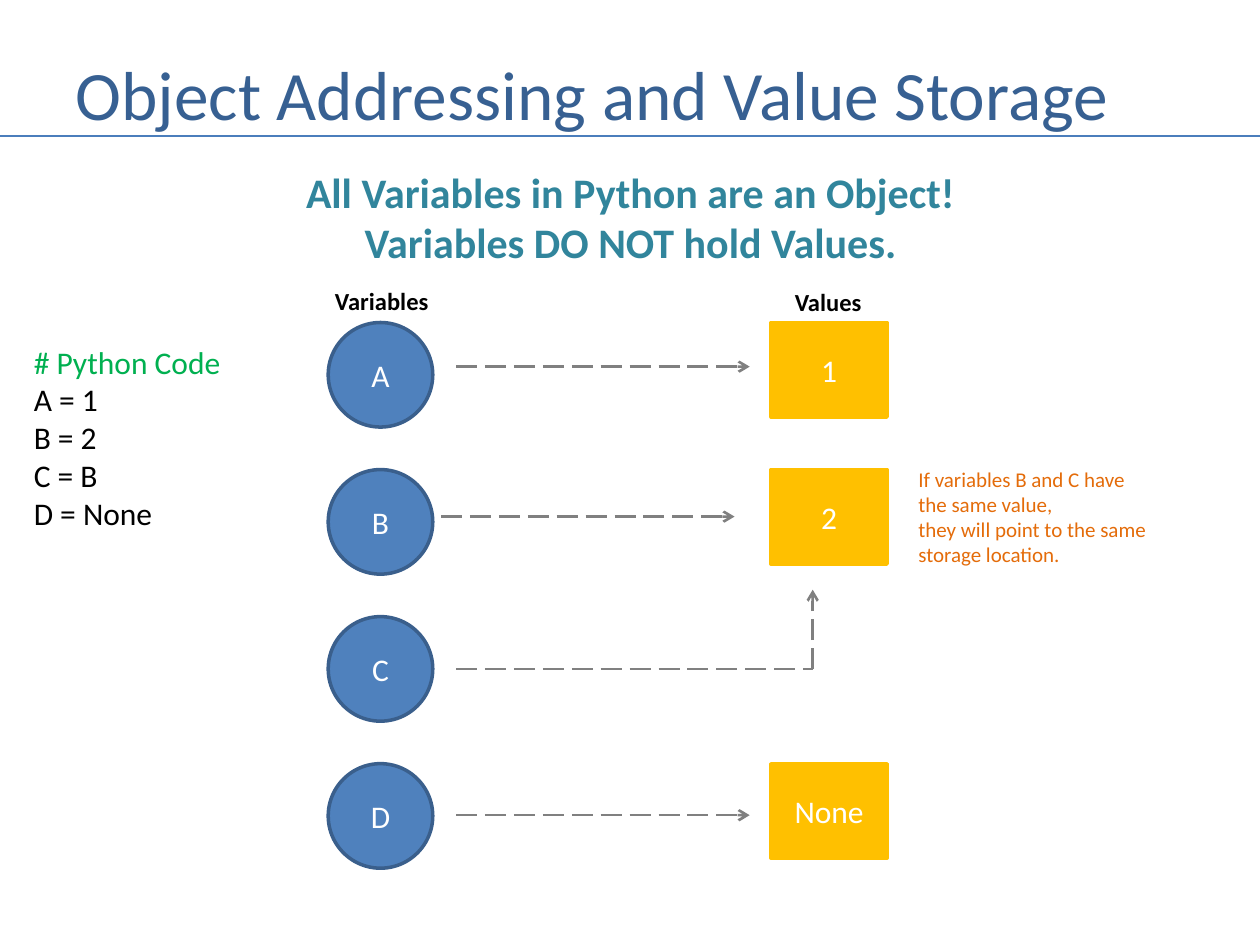
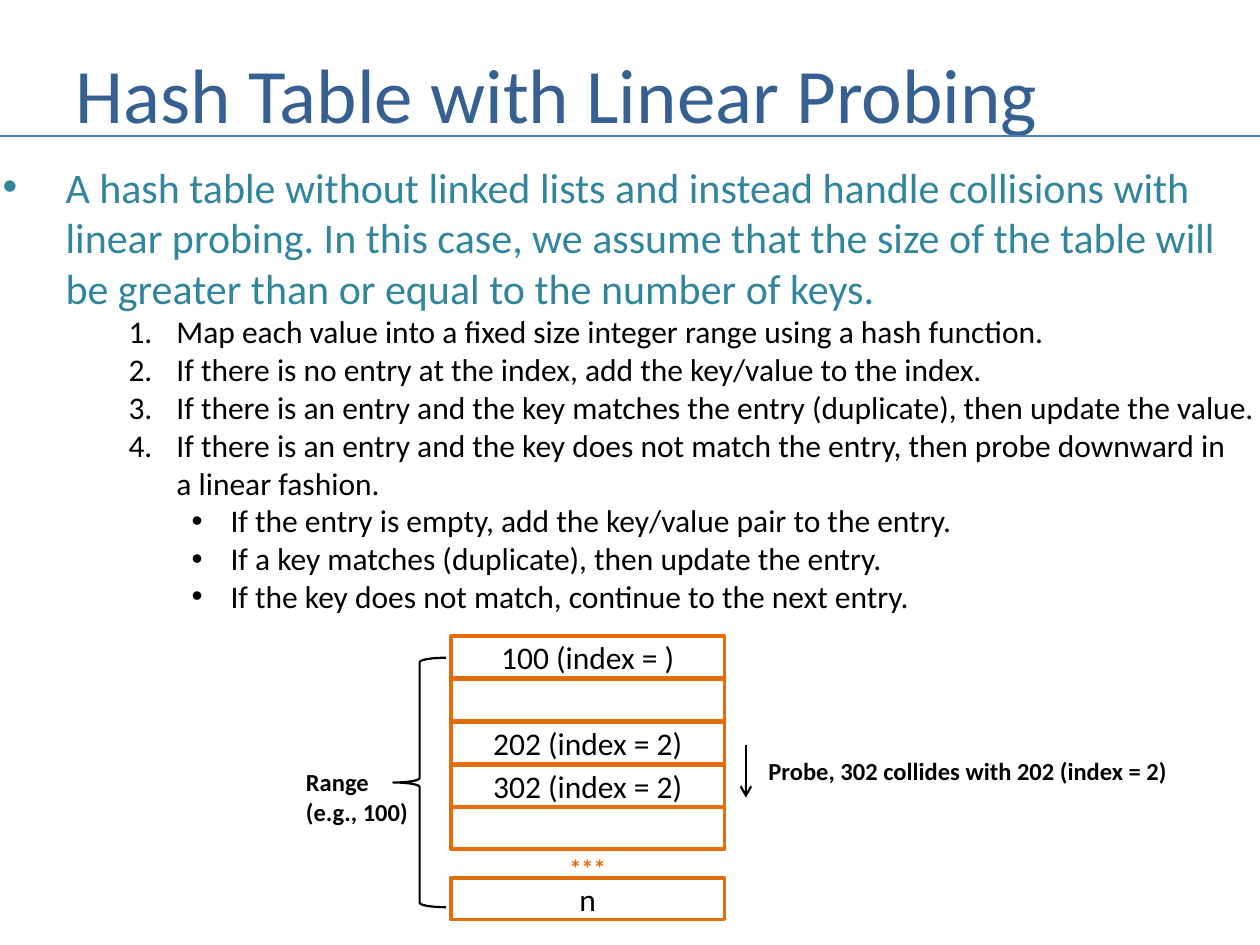
from dataclasses import dataclass

from lxml.etree import SubElement
from pptx import Presentation
from pptx.dml.color import RGBColor
from pptx.enum.dml import MSO_LINE
from pptx.enum.shapes import MSO_CONNECTOR, MSO_SHAPE
from pptx.enum.text import MSO_ANCHOR, MSO_AUTO_SIZE, PP_ALIGN
from pptx.oxml.ns import qn
from pptx.util import Inches, Pt

COLS, ROWS = 100, 75
CELL = Inches(0.1)


@dataclass(frozen=True)
class Theme:
    font: str = "Calibri"
    navy: str = "376092"
    rule: str = "4B7EBC"
    teal: str = "31859C"
    blue: str = "4F81BD"
    edge: str = "3A5F8C"
    gold: str = "FFC000"
    gray: str = "808080"
    rust: str = "E46C0A"
    green: str = "00B050"
    black: str = "000000"
    white: str = "FFFFFF"
    lead: float = 24
    text: float = 18
    label: float = 14
    note: float = 12
    thin: float = 1.25
    line: float = 1.5
    thick: float = 2


THEME = Theme()


def grid(*spots):
    return [round(spot * CELL) for spot in spots]


def color(code):
    return RGBColor.from_string(code)


def style(para, size, ink, bold=False, align=PP_ALIGN.LEFT):
    para.alignment = align
    para.space_before = Pt(0)
    font = para.font
    font.name = THEME.font
    font.size = Pt(size)
    font.bold = bold
    font.color.rgb = color(ink)


def fill_text(frame, lines, *look, **more):
    for index, line in enumerate(lines):
        para = frame.add_paragraph() if index else frame.paragraphs[0]
        para.text = line
        style(para, *look, **more)


def place(shape, spot):
    shape.left, shape.top, shape.width, shape.height = grid(*spot)


def add_text(slide, spot, lines, *look, wrap=False, **more):
    box = slide.shapes.add_textbox(*grid(*spot))
    frame = box.text_frame
    frame.word_wrap = wrap
    frame.auto_size = MSO_AUTO_SIZE.SHAPE_TO_FIT_TEXT
    fill_text(frame, lines, *look, **more)
    return box


def add_label(slide, spot, *lines, ink=THEME.black):
    add_text(slide, spot, lines, THEME.label, ink, True)


def add_form(slide, kind, spot, edge, fill=None, text="", ink=THEME.black,
             width=THEME.thick):
    form = slide.shapes.add_shape(kind, *grid(*spot))
    form.shadow.inherit = False
    if fill:
        form.fill.solid()
        form.fill.fore_color.rgb = color(fill)
    else:
        form.fill.background()
    form.line.color.rgb = color(edge)
    form.line.width = Pt(width)
    if text:
        fill_text(form.text_frame, [text], THEME.text, ink,
                  align=PP_ALIGN.CENTER)
    return form


def add_line(slide, start, end, ink, width=THEME.line, dash=False, head=False):
    link = slide.shapes.add_connector(
        MSO_CONNECTOR.STRAIGHT, *grid(*start, *end))
    link.line.color.rgb = color(ink)
    link.line.width = Pt(width)
    if dash:
        link.line.dash_style = MSO_LINE.LONG_DASH
    props = link.element.spPr
    if head:
        SubElement(props.find(qn("a:ln")), qn("a:tailEnd"), type="arrow")
    SubElement(props, qn("a:effectLst"))


def add_link(slide, start, end, head=True):
    add_line(slide, start, end, THEME.gray, dash=True, head=head)


def add_slide(deck, layout, title, size):
    slide = deck.slides.add_slide(deck.slide_layouts[layout])
    head = slide.shapes.title
    place(head, (5, 3, 90.8, 8.7))
    frame = head.text_frame
    frame.auto_size = MSO_AUTO_SIZE.NONE
    frame.vertical_anchor = MSO_ANCHOR.MIDDLE
    fill_text(frame, [title], size, THEME.navy)
    add_line(slide, (0, 10.8), (COLS, 10.8), THEME.rule)
    return slide


def add_item(para, text, level, inset, hang, mark, size, ink):
    para.text = text
    para.level = level
    props = para._p.get_or_add_pPr()
    props.set("marL", str(Inches(inset)))
    props.set("indent", str(-Inches(hang)))
    if mark == "1.":
        SubElement(props, qn("a:buFont"), typeface="+mj-lt")
        SubElement(props, qn("a:buAutoNum"), type="arabicPeriod")
    else:
        SubElement(props, qn("a:buFont"), typeface="Arial")
        SubElement(props, qn("a:buChar"), char=mark)
    style(para, size, ink)


def add_list(slide, spot, groups):
    body = slide.placeholders[1]
    place(body, spot)
    frame = body.text_frame
    frame.word_wrap = True
    frame.auto_size = MSO_AUTO_SIZE.NONE
    para = frame.paragraphs[0]
    for lines, *look in groups:
        for line in lines:
            if para.text:
                para = frame.add_paragraph()
            add_item(para, line, *look)


def draw_store(deck):
    slide = add_slide(deck, 5, "Object Addressing and Value Storage", 39.6)
    add_text(slide, (0.1, 12.7, 99.9, 9.1),
             ["All Variables in Python are an Object!",
              "Variables DO NOT hold Values."],
             THEME.lead, THEME.teal, True, wrap=True, align=PP_ALIGN.CENTER)

    add_label(slide, (25.6, 22.2, 9.5, 3.4), "Variables")
    add_label(slide, (62.1, 22.3, 7.3, 3.4), "Values")
    pairs = [("A", "1"), ("B", "2"), ("C", None), ("D", "None")]
    for index, (name, value) in enumerate(pairs):
        top = 25.6 + 11.67 * index
        add_form(slide, MSO_SHAPE.OVAL, (26.05, top, 8.3, 8.3),
                 THEME.edge, THEME.blue, name, THEME.white)
        if value:
            add_form(slide, MSO_SHAPE.RECTANGLE, (61.2, top, 9.2, 7.5),
                     THEME.gold, THEME.gold, value, THEME.white)

    for left, row in [(36.2, 29.1), (35, 41), (36.2, 64.7)]:
        add_link(slide, (left, row), (left + 23.3, row))
    bend = (64.5, 53.1)
    add_link(slide, (36.2, 53.1), bend, head=False)
    add_link(slide, bend, (64.5, 46.8))

    add_text(slide, (71.9, 36.5, 20.8, 9.1),
             ["If variables B and C have the same value,",
              "they will point to the same storage location."],
             THEME.note, THEME.rust, wrap=True)
    code = add_text(slide, (1.7, 26.7, 17, 16.2),
                    ["# Python Code", "A = 1", "B = 2", "C = B", "D = None"],
                    THEME.text, THEME.black)
    code.text_frame.paragraphs[0].font.color.rgb = color(THEME.green)


def draw_hash(deck):
    slide = add_slide(deck, 1, "Hash Table with Linear Probing", 44)
    lead = ["A hash table without linked lists and instead handle collisions "
            "with\vlinear probing. In this case, we assume that the size of "
            "the table will\vbe greater than or equal to the number of keys."]
    steps = [
        "Map each value into a fixed size integer range using a hash function.",
        "If there is no entry at the index, add the key/value to the index.",
        "If there is an entry and the key matches the entry (duplicate), "
        "then update the value.",
        "If there is an entry and the key does not match the entry, "
        "then probe downward in\va linear fashion.",
    ]
    cases = [
        "If the entry is empty, add the key/value pair to the entry.",
        "If a key matches (duplicate), then update the entry.",
        "If the key does not match, continue to the next entry.",
    ]
    add_list(slide, (-0.8, 12.3, 102.6, 37.4), [
        (lead, 0, 0.5, 0.5, "•", THEME.lead, THEME.teal),
        (steps, 2, 1.38, 0.38, "1.", THEME.text, THEME.black),
        (cases, 3, 1.81, 0.31, "•", THEME.text, THEME.black),
    ])

    slots = ["100 (index = )", "", "202 (index = 2)", "302 (index = 2)", ""]
    cells = [(50.5 + 3.4 * index, text) for index, text in enumerate(slots)]
    for top, text in cells + [(69.7, "n")]:
        add_form(slide, MSO_SHAPE.RECTANGLE, (35.8, top, 21.7, 3.3),
                 THEME.rust, text=text)
    add_label(slide, (44.2, 67.2, 5, 3.4), "***", ink=THEME.rust)

    brace = add_form(slide, MSO_SHAPE.RIGHT_BRACE, (31.2, 52.2, 4.2, 19.8),
                     THEME.black, width=THEME.thin)
    brace.rotation = 180
    add_label(slide, (23.3, 60.4, 10.2, 5.7), "Range", "(e.g., 100)")
    add_line(slide, (59.2, 59.1), (59.2, 63.3), THEME.black, THEME.thin,
             head=True)
    add_label(slide, (60, 59.5, 33.9, 3.4),
              "Probe, 302 collides with 202 (index = 2)")


def main():
    deck = Presentation()
    deck.slide_width, deck.slide_height = grid(COLS, ROWS)
    draw_store(deck)
    draw_hash(deck)
    deck.save("out.pptx")


if __name__ == "__main__":
    main()
